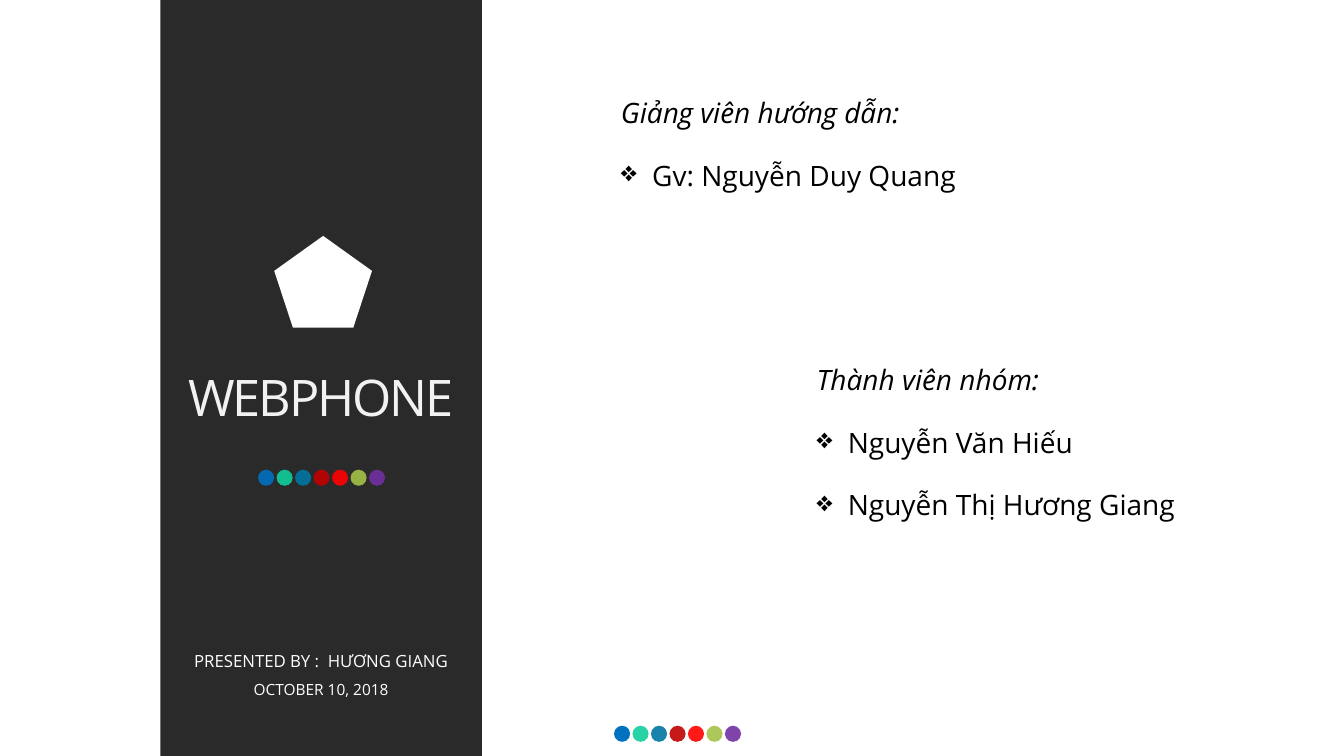
from lxml import etree
from pptx import Presentation
from pptx.dml.color import RGBColor
from pptx.enum import shapes, text
from pptx.oxml.ns import qn
from pptx.util import Inches, Pt

FONT = "Open Sans"
WHITE = "FFFFFF"
PANEL_LEFT, PANEL_WIDTH = 1.59, 3.19
DOT_SIZE, DOT_PITCH = 0.16, 1.1 / 6
DOT_COLOURS = ["0070C0", "10CF9B", "0076A3", "C00000", "FF0000", "A5C249", "7030A0"]


def rgb(colour):
    return RGBColor.from_string(colour)


def add_filled(s, kind, left, top, width, height, colour, opacity=100):
    """Add a preset shape without outline; opacity is in percent."""
    sp = s.shapes.add_shape(kind, Inches(left), Inches(top), Inches(width), Inches(height))
    sp.shadow.inherit = False
    sp.line.fill.background()
    sp.fill.solid()
    sp.fill.fore_color.rgb = rgb(colour)
    if opacity < 100:
        clr = sp.fill._xPr.find(f".//{qn('a:srgbClr')}")
        etree.SubElement(clr, qn("a:alpha")).set("val", str(opacity * 1000))
    return sp


def add_dots(s, left, top, first_opacity=90):
    for i, colour in enumerate(DOT_COLOURS):
        add_filled(s, shapes.MSO_SHAPE.OVAL, left + i * DOT_PITCH, top,
                   DOT_SIZE, DOT_SIZE, colour, 90 if i else first_opacity)


def add_text(s, left, top, width, height, anchor=text.MSO_ANCHOR.TOP, wrap=True):
    tb = s.shapes.add_textbox(Inches(left), Inches(top), Inches(width), Inches(height))
    tf = tb.text_frame
    tf.word_wrap = wrap
    tf.vertical_anchor = anchor
    return tf


def write(p, words, size, colour, italic=False):
    p.text = words
    r = p.runs[0]
    r.font.name = FONT
    r.font.size = Pt(size)
    r.font.italic = italic
    r.font.color.rgb = rgb(colour)
    return r


def add_bullet(p):
    pPr = p._p.get_or_add_pPr()
    pPr.set("marL", str(Inches(0.31)))
    pPr.set("indent", str(-Inches(0.31)))
    etree.SubElement(pPr, qn("a:buChar")).set("char", "❖")


def add_people(s, left, top, width, height, heading, names, wrap=True):
    """Add an italic heading followed by bulleted names."""
    tf = add_text(s, left, top, width, height, wrap=wrap)
    write(tf.paragraphs[0], heading, 20, "000000", italic=True)
    for name in names:
        p = tf.add_paragraph()
        write(p, name, 20, "000000")
        p.space_before = Pt(20.7)
        add_bullet(p)


def add_title(s):
    tf = add_text(s, PANEL_LEFT, 3.64, PANEL_WIDTH, 0.65, text.MSO_ANCHOR.MIDDLE)
    p = tf.paragraphs[0]
    r = write(p, "WEBPHONE", 36, "F2F2F2")
    p.alignment = text.PP_ALIGN.CENTER
    p.line_spacing = 0.9
    r.font._element.set("spc", "-150")


def add_presenter(s):
    tf = add_text(s, PANEL_LEFT, 6.41, PANEL_WIDTH, 0.47, text.MSO_ANCHOR.MIDDLE)
    tf.text = "PRESENTED BY :  HƯƠNG GIANG\nOCTOBER 10, 2018"
    for p, size in zip(tf.paragraphs, (12, 11)):
        write(p, p.text, size, WHITE)
        p.alignment = text.PP_ALIGN.CENTER
        p.line_spacing = 1.5


def main():
    prs = Presentation()
    prs.slide_width, prs.slide_height = Inches(13.33), Inches(7.5)
    s = prs.slides.add_slide(prs.slide_layouts[6])

    add_dots(s, 6.09, 7.2, first_opacity=100)
    add_filled(s, shapes.MSO_SHAPE.RECTANGLE, PANEL_LEFT, 0, PANEL_WIDTH, 7.5, "0D0D0D", 88)
    add_title(s)
    add_dots(s, 2.56, 4.66)
    add_filled(s, shapes.MSO_SHAPE.REGULAR_PENTAGON, 2.72, 2.34, 0.97, 0.91, WHITE)
    add_presenter(s)
    add_people(s, 6.06, 0.9, 3.57, 1.11, "Giảng viên hướng dẫn:",
               ["Gv: Nguyễn Duy Quang"], wrap=False)
    add_people(s, 8, 3.55, 4.22, 1.78, "Thành viên nhóm:",
               ["Nguyễn Văn Hiếu", "Nguyễn Thị Hương Giang"])
    prs.save("out.pptx")


if __name__ == "__main__":
    main()
